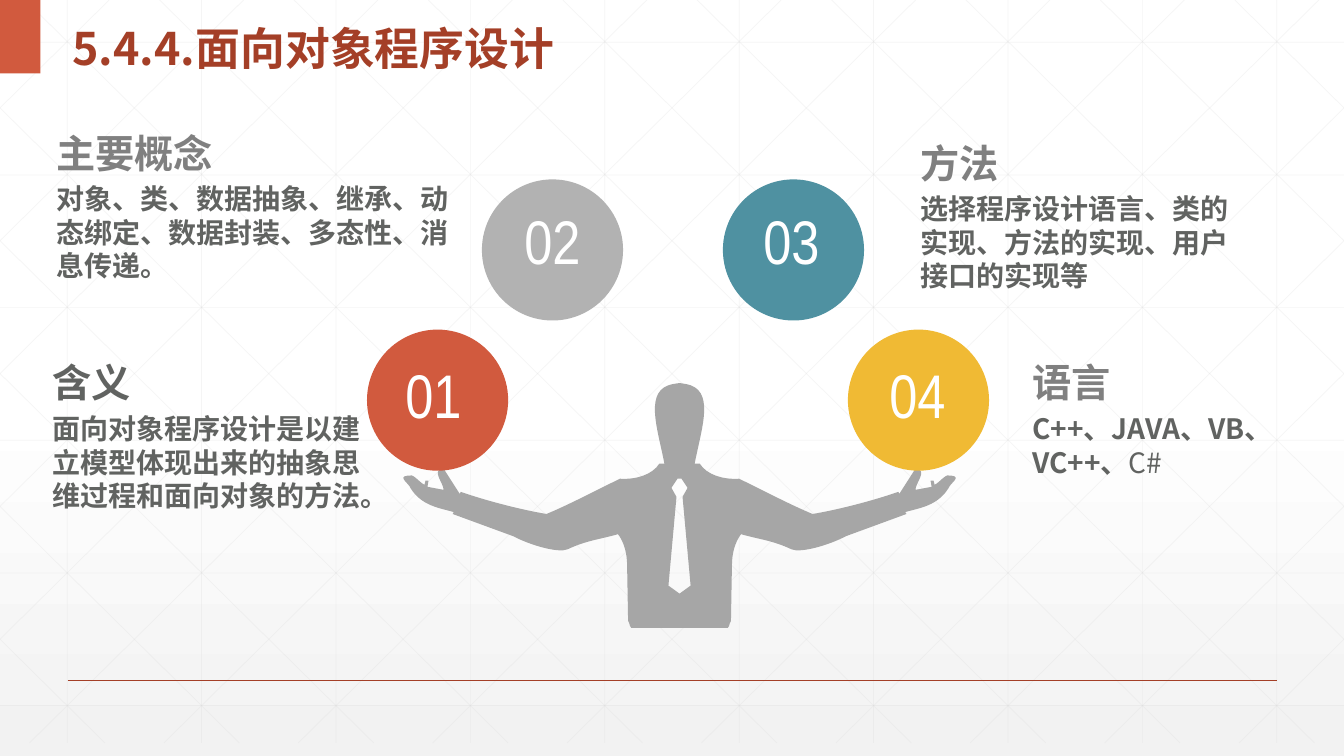
from copy import deepcopy

from lxml import etree
from pptx import Presentation
from pptx.dml.color import RGBColor
from pptx.enum.shapes import MSO_CONNECTOR, MSO_SHAPE
from pptx.enum.text import MSO_ANCHOR, PP_ALIGN
from pptx.oxml.ns import qn
from pptx.util import Inches, Pt

STRAIGHT = MSO_CONNECTOR.STRAIGHT
RECTANGLE, OVAL = MSO_SHAPE.RECTANGLE, MSO_SHAPE.OVAL
TOP, MIDDLE = MSO_ANCHOR.TOP, MSO_ANCHOR.MIDDLE
LEFT, CENTER = PP_ALIGN.LEFT, PP_ALIGN.CENTER

WHITE = RGBColor(0xFF, 0xFF, 0xFF)
PALE = RGBColor(0xF2, 0xF2, 0xF2)
GRID_GRAY = RGBColor(0xD9, 0xD9, 0xD9)
FIGURE_GRAY = RGBColor(0xA6, 0xA6, 0xA6)
BALL_GRAY = RGBColor(0xB2, 0xB2, 0xB2)
HEADING_GRAY = RGBColor(0x80, 0x80, 0x80)
TEXT_GRAY = RGBColor(0x61, 0x63, 0x61)
RED = RGBColor(0xD1, 0x5A, 0x3E)
DARK_RED = RGBColor(0xA4, 0x3F, 0x27)
TEAL = RGBColor(0x4F, 0x91, 0xA1)
YELLOW = RGBColor(0xF0, 0xBA, 0x34)
CJK_FONT, NUMBER_FONT = "Noto Sans CJK SC", "Arial Narrow"

TITLE = "5.4.4.面向对象程序设计"

# number, colour, ball left and top, number left and top
BALLS = [
    ("02", BALL_GRAY, 4.78, 1.78, 5.01, 1.96),
    ("01", RED, 3.64, 3.27, 3.83, 3.49),
    ("03", TEAL, 7.17, 1.78, 7.38, 1.96),
    ("04", YELLOW, 8.41, 3.27, 8.63, 3.49),
]
BALL_SIZE = 1.4

# heading, its colour, bold body, light ending, box
TOPICS = [
    ("含义", TEXT_GRAY, "面向对象程序设计是以建立模型体现出来的抽象思维过程和面向对象的方法。", "",
     (0.42, 3.51, 3.3, 1.65)),
    ("主要概念", HEADING_GRAY, "对象、类、数据抽象、继承、动态绑定、数据封装、多态性、消息传递。", "",
     (0.46, 1.23, 4.22, 1.65)),
    ("方法", HEADING_GRAY, "选择程序设计语言、类的实现、方法的实现、用户接口的实现等", "",
     (9.03, 1.33, 3.43, 1.65)),
    ("语言", HEADING_GRAY, "C++、JAVA、VB、VC++、", "C#",
     (10.14, 3.51, 2.94, 1.31)),
]

# Right halves, x measured from the body axis; six values make a Bezier curve
BODY_AXIS = 6.74
BODY_HALF = [
    (0, 3.8), (0.06, 3.81), (0.36, 3.86, 0.22, 4.24, 0.15, 4.6), (0.2, 4.6),
    (0.27, 4.71, 0.43, 4.76, 0.59, 4.75), (0.84, 4.87, 1.08, 5, 1.32, 5.1),
    (1.61, 5.05, 1.94, 4.96, 2.17, 4.88), (2.18, 4.9), (2.34, 4.65),
    (2.47, 4.66, 2.34, 4.79, 2.34, 4.86), (2.5, 4.83), (2.49, 4.77), (2.52, 4.77),
    (2.53, 4.81), (2.59, 4.78, 2.64, 4.69, 2.7, 4.72),
    (2.8, 4.73, 2.68, 4.8, 2.67, 4.84), (2.56, 5.02, 2.38, 5.04, 2.24, 5.08),
    (2.25, 5.1), (1.65, 5.32), (1.48, 5.41, 1.2, 5.49, 1.11, 5.45),
    (0.92, 5.36, 0.78, 5.35, 0.61, 5.3), (0.55, 5.38, 0.52, 5.49, 0.52, 5.61),
    (0.51, 6.16), (0.49, 6.18, 0.5, 6.25, 0.45, 6.23), (0, 6.23),
]
TIE_HALF = [(0, 4.75), (0.02, 4.75), (0.08, 4.84), (0.03, 4.93), (0.11, 5.81), (0, 5.89)]

WIDTH, HEIGHT = 13.33, 7.5
GRID_STEP, GRID_ROW, GRID_BOTTOM = WIDTH / 10, 1.316, 7.37
DIAGONAL_START, DIAGONAL_RUN = 0.25, 7.455
UNITS = 1000


def add_line(start, end, color, width, opacity=None):
    line = slide.shapes.add_connector(STRAIGHT, *map(Inches, start + end))
    line.line.color.rgb = color
    line.line.width = Pt(width)
    properties = line.element.spPr
    if opacity:
        set_opacity(properties.find(".//" + qn("a:srgbClr")), opacity)
    etree.SubElement(properties, qn("a:effectLst"))


def set_opacity(color_element, percent):
    etree.SubElement(color_element, qn("a:alpha")).set("val", str(percent * 1000))


def paint(shape, color):
    shape.shadow.inherit = False
    shape.fill.solid()
    shape.fill.fore_color.rgb = color
    shape.line.fill.background()


def add_text(box, paragraphs, anchor=TOP, align=LEFT, wrap=True):
    """Each paragraph is (text, font name, size, colour, bold, space before)."""
    frame = slide.shapes.add_textbox(*map(Inches, box)).text_frame
    frame.word_wrap = wrap
    frame.vertical_anchor = anchor
    for index, (text, name, size, color, bold, before) in enumerate(paragraphs):
        paragraph = frame.add_paragraph() if index else frame.paragraphs[0]
        paragraph.add_run().text = text
        paragraph.alignment = align
        if before:
            paragraph.space_before = Pt(before)
        for font in (paragraph.font, paragraph.runs[0].font):
            font.name, font.size, font.bold = name, Pt(size), bold
            font.color.rgb = color
            if name == CJK_FONT:
                east_asian = etree.Element(qn("a:ea"))
                east_asian.set("typeface", name)
                font._element.find(qn("a:latin")).addnext(east_asian)
    return frame


def mirrored_outline(half):
    """Join a right half to its mirror image; a step is a list of 1 or 3 points."""
    right = [[(x, y) for x, y in zip(step[::2], step[1::2])] for step in half]
    left = []
    for before, step in reversed(list(zip(right[1:], right[2:]))):
        back = step[-2::-1] + before[-1:]
        left.append([(-x, y) for x, y in back])
    return [[((BODY_AXIS + x) * UNITS, y * UNITS) for x, y in step]
            for step in right + left]


def add_figure(outlines):
    """Draw closed outlines as one shape, bending the three-point steps."""
    (start,), *_ = outlines[0]
    builder = slide.shapes.build_freeform(*start, scale=Inches(1) / UNITS)
    for index, outline in enumerate(outlines):
        if index:
            builder.move_to(*outline[0][0])
        builder.add_line_segments([step[-1] for step in outline[1:]], close=False)
        builder.add_line_segments([], close=True)
    figure = builder.convert_to_shape()
    left, top = (round(min(step[-1][axis] for outline in outlines for step in outline))
                 for axis in (0, 1))
    segments = list(figure.element.iter(qn("a:lnTo")))
    steps = [step for outline in outlines for step in outline[1:]]
    for segment, step in zip(segments, steps):
        if len(step) == 3:
            curve = etree.Element(qn("a:cubicBezTo"))
            for x, y in step:
                point = etree.SubElement(curve, qn("a:pt"))
                point.set("x", str(round(x) - left))
                point.set("y", str(round(y) - top))
            segment.getparent().replace(segment, curve)
    return figure


presentation = Presentation()
presentation.slide_width, presentation.slide_height = Inches(WIDTH), Inches(HEIGHT)
slide = presentation.slides.add_slide(presentation.slide_layouts[6])

backdrop = slide.background.fill
backdrop.gradient()
backdrop.gradient_angle = 270
first_stop = backdrop.gradient_stops[0]._gs
first_stop.addnext(deepcopy(first_stop))
for stop, position, color in zip(backdrop.gradient_stops, (0, 0.53, 1), (WHITE, WHITE, PALE)):
    stop.position = position
    stop.color.rgb = color
set_opacity(backdrop.gradient_stops[2]._gs.find(qn("a:srgbClr")), 65)

grid = [((x, 0), (x, GRID_BOTTOM)) for x in (GRID_STEP * (i + 0.5) for i in range(10))]
grid += [((0, y), (WIDTH, y)) for y in (0.42 + GRID_ROW * i for i in range(6))]
for i in range(-5, 10):
    top_x = DIAGONAL_START + GRID_STEP * i
    ends = [(x, (x - top_x) * GRID_BOTTOM / DIAGONAL_RUN)
            for x in (max(0, top_x), min(WIDTH, top_x + DIAGONAL_RUN))]
    grid += [tuple(ends), tuple((WIDTH - x, y) for x, y in ends)]
for start, end in grid:
    add_line(start, end, GRID_GRAY, 0.5, 25)

add_line((0.67, 6.75), (12.67, 6.75), DARK_RED, 1)
paint(slide.shapes.add_shape(RECTANGLE, 0, 0, Inches(0.4), Inches(0.73)), RED)
paint(add_figure([mirrored_outline(TIE_HALF), mirrored_outline(BODY_HALF)]), FIGURE_GRAY)

for number, color, left, top, number_left, number_top in BALLS:
    ball = slide.shapes.add_shape(OVAL, *map(Inches, (left, top, BALL_SIZE, BALL_SIZE)))
    paint(ball, color)
    add_text((number_left, number_top, 0.94, 0.84),
             [(number, NUMBER_FONT, 44, WHITE, False, 0)], MIDDLE, CENTER, wrap=False)

for heading, heading_color, body_text, ending, box in TOPICS:
    topic = add_text(box, [(heading, CJK_FONT, 28, heading_color, True, 0),
                           (body_text, CJK_FONT, 20, TEXT_GRAY, True, 4)])
    if ending:
        light = topic.paragraphs[1].add_run()
        light.text = ending
        light.font.bold = False

add_text((0.62, 0.03, 5.69, 0.73), [(TITLE, CJK_FONT, 32, DARK_RED, True, 0)],
         MIDDLE).paragraphs[0].line_spacing = 1.3

presentation.save("out.pptx")
